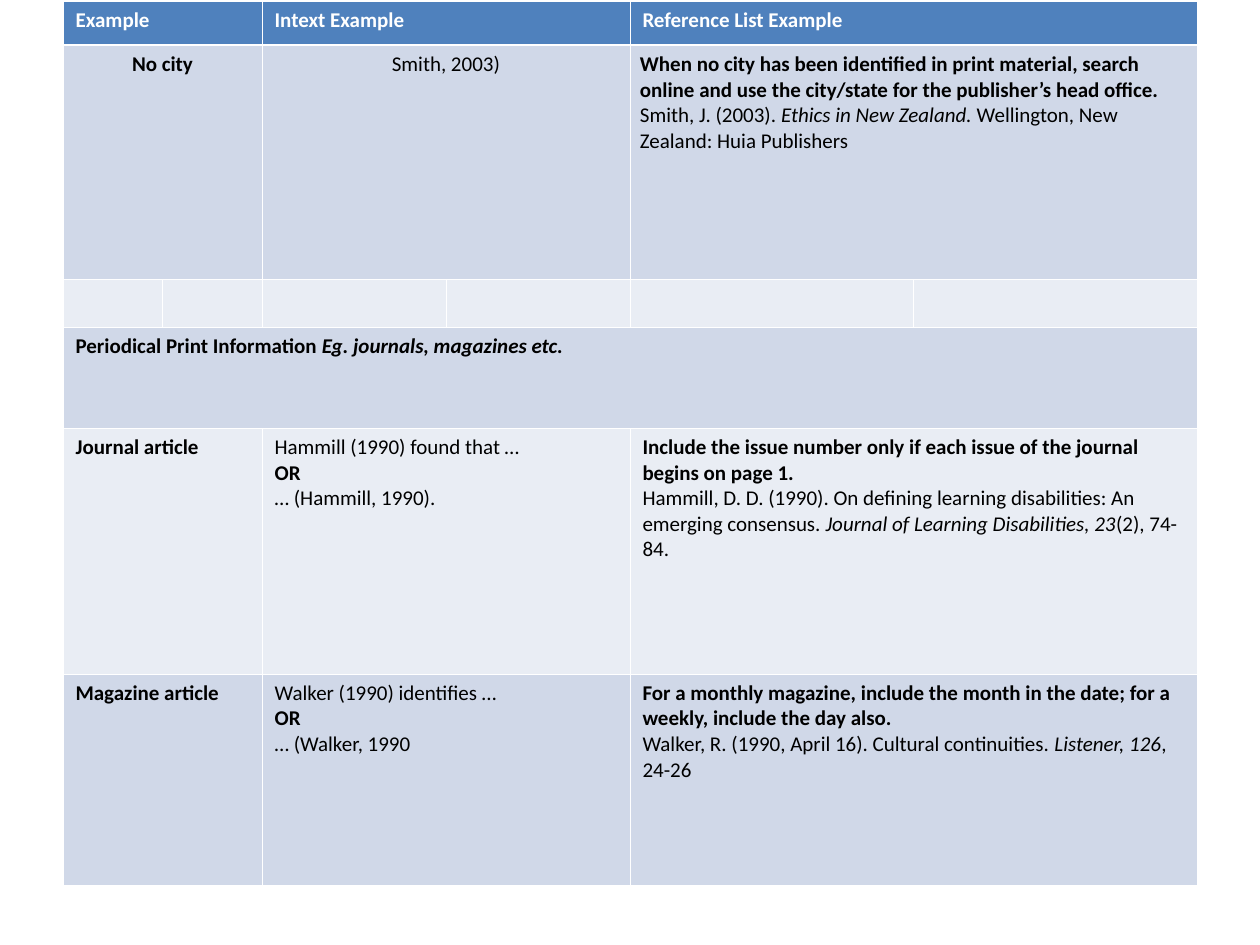
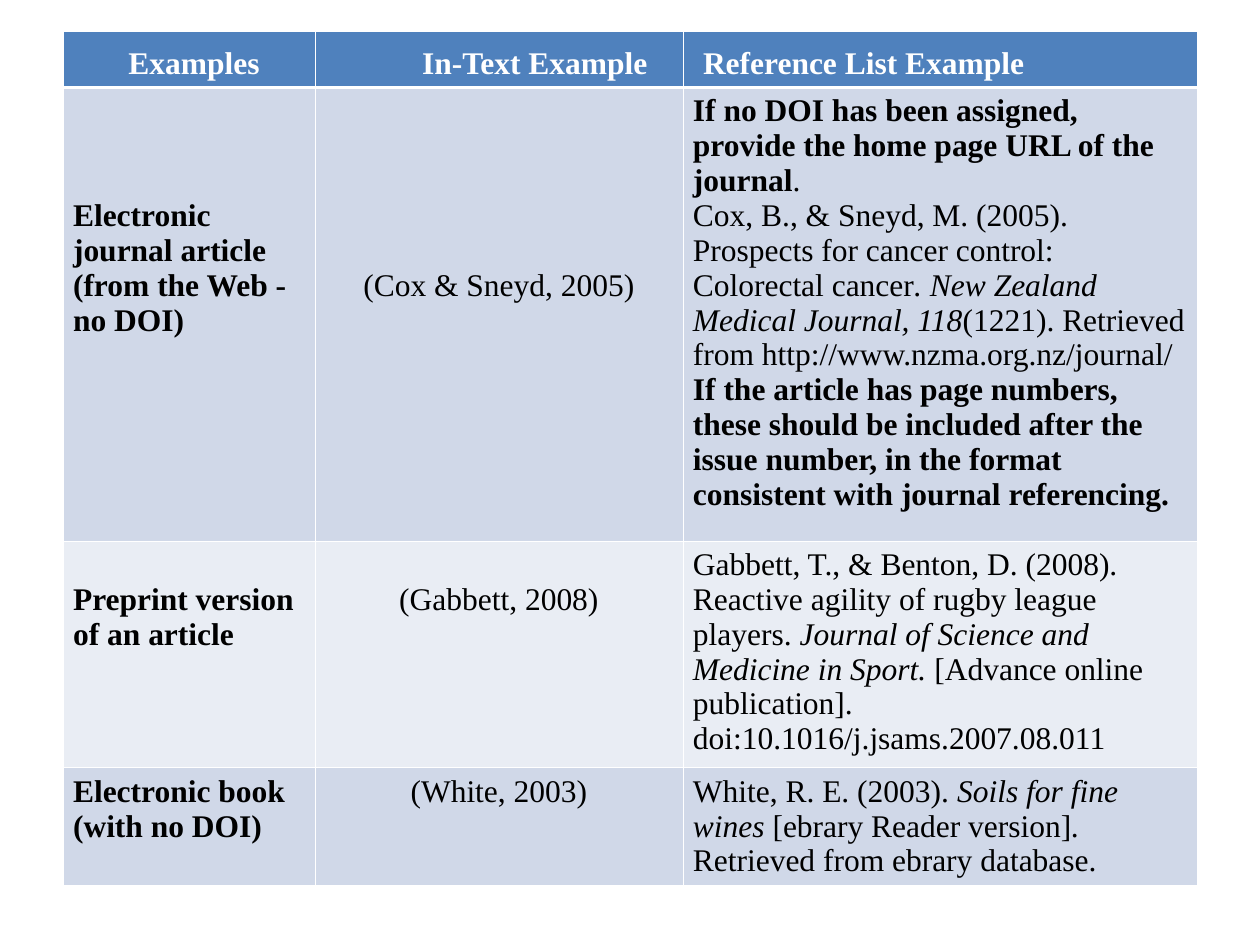
"""Build two slides of referencing examples, each one a banded table."""
from dataclasses import dataclass

from lxml.etree import SubElement
from pptx import Presentation
from pptx.dml.color import RGBColor
from pptx.enum.text import PP_ALIGN as Align
from pptx.oxml.ns import qn
from pptx.util import Inches, Pt

WHITE = RGBColor(0xFF, 0xFF, 0xFF)
BLACK = RGBColor(0x00, 0x00, 0x00)
HEADER_BLUE = RGBColor(0x4F, 0x81, 0xBD)
BANDS = RGBColor(0xD0, 0xD8, 0xE8), RGBColor(0xE9, 0xED, 0xF4)

GRID_COLUMNS, GRID_ROWS = 100, 75
THIN, THICK = Pt(0.45), Pt(1.47)


@dataclass
class Cell:
    """Hold paragraphs of (text, style) runs; lengths are in grid units."""
    paragraphs: tuple = ()
    align: Align = Align.LEFT
    top: float = 0.5
    side: float = 0.8
    indent: float = 0
    line_spacing: float = 0


class TableDeck:
    """Hold the presentation, the current slide and the table style."""

    def __init__(self, presentation):
        self.presentation = presentation
        self.slide = None
        self.font_name = None
        self.font_size = None

    def x(self, columns):
        return round(self.presentation.slide_width * columns / GRID_COLUMNS)

    def y(self, rows):
        return round(self.presentation.slide_height * rows / GRID_ROWS)

    def add_slide(self, font_name, font_size):
        blank_layout = self.presentation.slide_layouts[6]
        self.slide = self.presentation.slides.add_slide(blank_layout)
        self.font_name, self.font_size = font_name, Pt(font_size)

    def add_table(self, left, top, widths, heights, rows):
        frame = self.slide.shapes.add_table(
            len(heights), len(widths), self.x(left), self.y(top),
            self.x(sum(widths)), self.y(sum(heights)))
        table = frame.table
        table.first_row = table.horz_banding = False
        for column, width in zip(table.columns, widths):
            column.width = self.x(width)
        for row, height in zip(table.rows, heights):
            row.height = self.y(height)
        for row_index, contents in enumerate(rows):
            self.style_row(table, row_index)
            span = len(widths) // len(contents)
            for position, content in enumerate(contents):
                start = position * span
                cell = table.cell(row_index, start)
                if span > 1:
                    cell.merge(table.cell(row_index, start + span - 1))
                self.fill_cell(cell, content, WHITE if row_index == 0 else BLACK)

    def style_row(self, table, row_index):
        color = BANDS[(row_index - 1) % 2] if row_index else HEADER_BLUE
        for cell in table.rows[row_index].cells:
            self.add_border(cell, "a:lnL", THIN)
            self.add_border(cell, "a:lnR", THIN)
            self.add_border(cell, "a:lnT", THICK if row_index == 1 else THIN)
            self.add_border(cell, "a:lnB", THICK if row_index == 0 else THIN)
            cell.fill.solid()
            cell.fill.fore_color.rgb = color

    def add_border(self, cell, tag, width):
        properties = cell._tc.get_or_add_tcPr()
        line = SubElement(properties, qn(tag), w=str(width))
        fill = SubElement(line, qn("a:solidFill"))
        SubElement(fill, qn("a:srgbClr"), val=str(WHITE))

    def fill_cell(self, cell, content, color):
        cell.margin_left = self.x(content.side + content.indent)
        cell.margin_right = self.x(content.side)
        cell.margin_top = self.y(content.top)
        cell.margin_bottom = self.y(0.5 if content.paragraphs else 0.2)
        for index, runs in enumerate(content.paragraphs):
            frame = cell.text_frame
            paragraph = frame.add_paragraph() if index else frame.paragraphs[0]
            paragraph.alignment = content.align
            if content.line_spacing:
                paragraph.line_spacing = Pt(content.line_spacing)
            for text, style in runs:
                self.add_run(paragraph, text, style, color)

    def add_run(self, paragraph, text, style, color):
        run = paragraph.add_run()
        run.text = text
        run.font.name, run.font.size = self.font_name, self.font_size
        run.font.bold, run.font.italic = "b" in style, "i" in style
        run.font.color.rgb = color


def label(text, **options):
    """Return a cell with one bold paragraph."""
    return Cell((((text, "b"),),), **options)


def plain(text, **options):
    """Return a cell with one regular paragraph."""
    return Cell((((text, ""),),), **options)


def intext(sentence, citation):
    """Return a cell offering two ways to cite."""
    return Cell((((sentence, ""),), (("OR", "b"),), ((citation, ""),)), side=1)


def reference(advice, *runs, side=1):
    """Return a cell with bold advice above a reference."""
    return Cell((((advice, "b"),), runs), side=side)


def add_print_slide(deck):
    """Add the slide on print books and periodicals."""
    deck.add_slide("Calibri", 12)
    headings = "Example", "Intext Example", "Reference List Example"
    rows = [
        [label(heading, side=1) for heading in headings],
        [label("No city", align=Align.CENTER, side=1),
         plain("Smith, 2003)", align=Align.CENTER),
         reference("When no city has been identified in print material, search online "
                   "and use the city/state for the publisher’s head office.",
                   ("Smith, J. (2003). ", ""), ("Ethics in New Zealand. ", "i"),
                   ("Wellington, New Zealand: Huia Publishers", ""), side=0.8)],
        [Cell(top=0.2)] * 6,
        [Cell(((("Periodical Print Information ", "b"),
                ("Eg. journals, magazines etc.", "bi")),), side=1)],
        [label("Journal article", side=1),
         intext("Hammill (1990) found that …", "… (Hammill, 1990)."),
         reference("Include the issue number only if each issue of the journal "
                   "begins on page 1.",
                   ("Hammill, D. D. (1990). On defining learning disabilities: "
                    "An emerging consensus. ", ""),
                   ("Journal of Learning Disabilities, 23", "i"), ("(2), 74-84.", ""))],
        [label("Magazine article", side=1),
         intext("Walker (1990) identifies …", "… (Walker, 1990"),
         reference("For a monthly magazine, include the month in the date; "
                   "for a weekly, include the day also.",
                   ("Walker, R. (1990, April 16). Cultural continuities. ", ""),
                   ("Listener, 126", "i"), (", 24-26", ""))],
    ]
    widths = [half for half in (7.9, 14.6, 22.5) for _ in range(2)]
    deck.add_table(5, 0.1, widths, [3.5, 18.6, 3.8, 8, 19.5, 16.8], rows)


def add_electronic_slide(deck):
    """Add the slide on electronic sources."""
    deck.add_slide("Times New Roman", 18)
    line = 2.77
    heading = {"top": 2.2, "line_spacing": 12.5}
    rows = [
        [label("Examples", align=Align.CENTER, indent=0.8, **heading),
         label("In-Text Example", indent=7.7, **heading),
         label("Reference List Example", indent=0.8, **heading)],
        [label("Electronic journal article (from the Web - no DOI)", top=0.5 + 3 * line),
         plain("(Cox & Sneyd, 2005)", align=Align.CENTER, top=0.5 + 5 * line),
         Cell(((("If no DOI has been assigned, provide the home page URL of the journal",
                 "b"), (".", "")),
               (("Cox, B., & Sneyd, M. (2005). Prospects for cancer control: "
                 "Colorectal cancer", ""),
                (". New Zealand Medical Journal, 118", "i"),
                ("(1221). Retrieved from http://www.nzma.org.nz/journal/", "")),
               (("If the article has page numbers, these should be included after the "
                 "issue number, in the format consistent with journal referencing.",
                 "b"),)))],
        [label("Preprint version of an article", top=0.5 + line),
         plain("(Gabbett, 2008)", align=Align.CENTER, top=0.5 + line),
         Cell(((("Gabbett, T., & Benton, D. (2008). Reactive agility of rugby league "
                 "players. ", ""),
                ("Journal of Science and Medicine in Sport. ", "i"),
                ("[Advance online publication]. doi:10.1016/j.jsams.2007.08.011", "")),))],
        [label("Electronic book (with no DOI)"),
         plain("(White, 2003)", align=Align.CENTER),
         Cell(((("White, R. E. (2003). ", ""), ("Soils for fine wines ", "i"),
                ("[ebrary Reader version]", ""), (". ", "i"),
                ("Retrieved from ebrary database.", "")),))],
    ]
    deck.add_table(5, 2.5, [20, 29.2, 40.8], [4.4, 36, 18, 9.3], rows)


def main():
    """Build the presentation and save it."""
    presentation = Presentation()
    presentation.slide_width, presentation.slide_height = Inches(10), Inches(7.5)
    deck = TableDeck(presentation)
    add_print_slide(deck)
    add_electronic_slide(deck)
    presentation.save("out.pptx")


if __name__ == "__main__":
    main()
